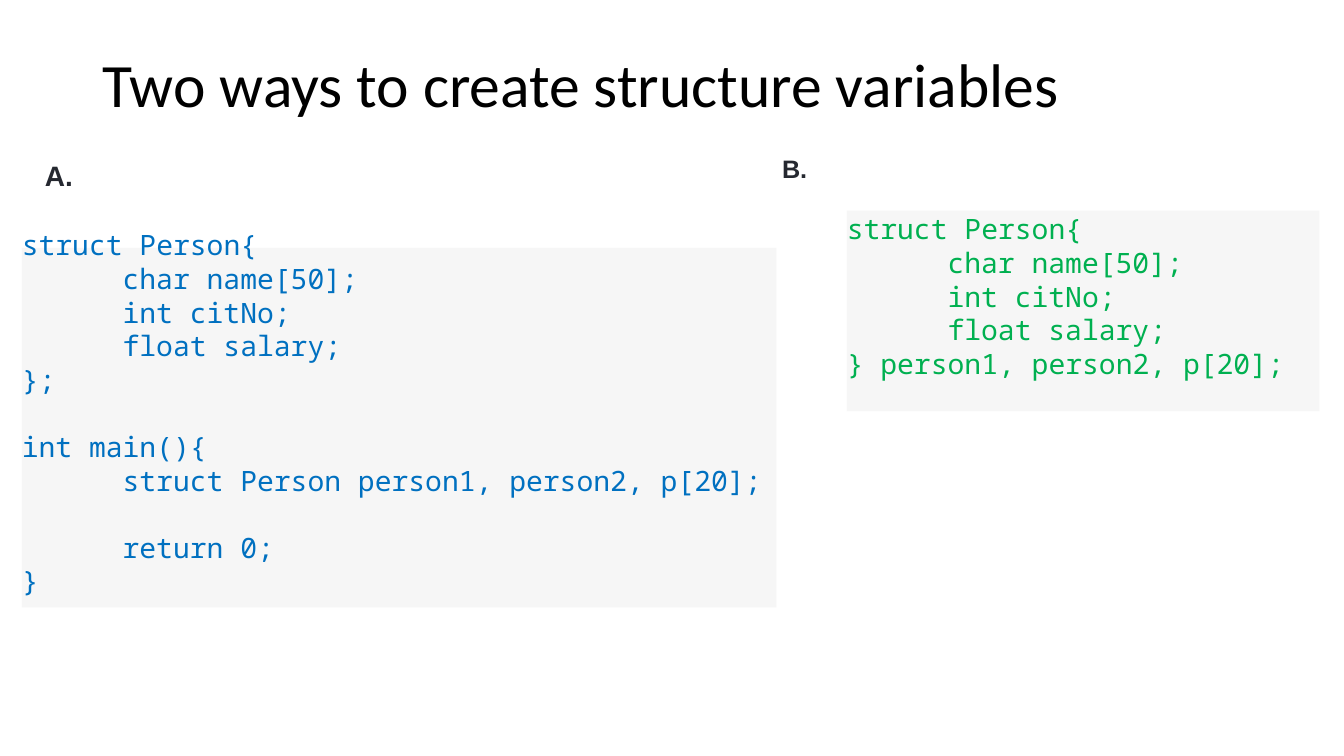
from dataclasses import dataclass

from lxml.etree import SubElement
from pptx import Presentation
from pptx.dml.color import RGBColor
from pptx.enum.shapes import MSO_SHAPE
from pptx.enum.text import MSO_ANCHOR, PP_ALIGN
from pptx.oxml.ns import qn
from pptx.util import Cm, Pt


@dataclass(frozen=True)
class Theme:
    title_color: str = "000000"
    label_color: str = "252830"
    panel: str = "F6F6F6"
    blue: str = "0070C0"
    green: str = "00B050"
    title_font: str = "Calibri"
    label_font: str = "Arial"
    code_font: str = "Noto Sans Mono"
    title_size: int = 44
    code_size: int = 20
    code_pitch: int = 24
    code_tab: float = 2.54


class SlideBuilder:
    def __init__(self, slide, theme):
        self.slide = slide
        self.theme = theme

    def style(self, p, font, size, color, bold=False):
        p.font.name = font
        p.font.size = Pt(size)
        p.font.bold = bold
        p.font.color.rgb = RGBColor.from_string(color)

    def tab_stop(self, p, pos):
        tabs = SubElement(p._p.get_or_add_pPr(), qn("a:tabLst"))
        SubElement(tabs, qn("a:tab"), pos=str(Cm(pos)), algn="l")

    def textbox(self, text, box):
        sp = self.slide.shapes.add_textbox(*map(Cm, box))
        tf = sp.text_frame
        tf.word_wrap = True
        tf.text = text
        return tf

    def title(self, text, box):
        t = self.theme
        tf = self.textbox(text, box)
        tf.vertical_anchor = MSO_ANCHOR.MIDDLE
        p = tf.paragraphs[0]
        p.line_spacing = 0.9
        self.style(p, t.title_font, t.title_size, t.title_color)

    def label(self, text, box, size):
        t = self.theme
        p = self.textbox(text, box).paragraphs[0]
        self.style(p, t.label_font, size, t.label_color, bold=True)

    def code(self, blocks, box, color):
        """Panel of code; one empty line's space separates the blocks."""
        t = self.theme
        sp = self.slide.shapes.add_shape(MSO_SHAPE.RECTANGLE, *map(Cm, box))
        sp.shadow.inherit = False
        sp.fill.solid()
        sp.fill.fore_color.rgb = RGBColor.from_string(t.panel)
        sp.line.fill.background()
        tf = sp.text_frame
        tf.word_wrap = True
        tf.vertical_anchor = MSO_ANCHOR.MIDDLE
        tf.margin_left = tf.margin_top = tf.margin_right = 0
        tf.margin_bottom = Cm(0.76)
        tf.text = "\n".join(line for block in blocks for line in block)
        for p in tf.paragraphs:
            p.alignment = PP_ALIGN.LEFT
            p.line_spacing = Pt(t.code_pitch)
            self.tab_stop(p, t.code_tab)
            self.style(p, t.code_font, t.code_size, color)
        start = 0
        for block in blocks[:-1]:
            start += len(block)
            tf.paragraphs[start].space_before = Pt(t.code_pitch)


def main():
    prs = Presentation()
    prs.slide_width, prs.slide_height = Cm(33.87), Cm(19.05)
    theme = Theme()
    s = SlideBuilder(prs.slides.add_slide(prs.slide_layouts[6]), theme)

    # Title
    s.title("Two ways to create structure variables", (2.33, 1.03, 29.21, 2.36))

    # Code panels
    person = ["struct Person{", "\tchar name[50];", "\tint citNo;", "\tfloat salary;"]
    s.code(
        [
            person + ["};"],
            ["int main(){", "\tstruct Person person1, person2, p[20];"],
            ["\treturn 0;", "}"],
        ],
        (0.55, 6.25, 19.02, 9.06),
        theme.blue,
    )
    s.code([person + ["} person1, person2, p[20];"]], (21.34, 5.31, 11.91, 5.05), theme.green)

    # Panel labels
    s.label("A.", (0.88, 3.86, 2.26, 1.12), 20)
    s.label("B.", (19.46, 3.73, 1.3, 1.02), 18)

    prs.save("out.pptx")


if __name__ == "__main__":
    main()
